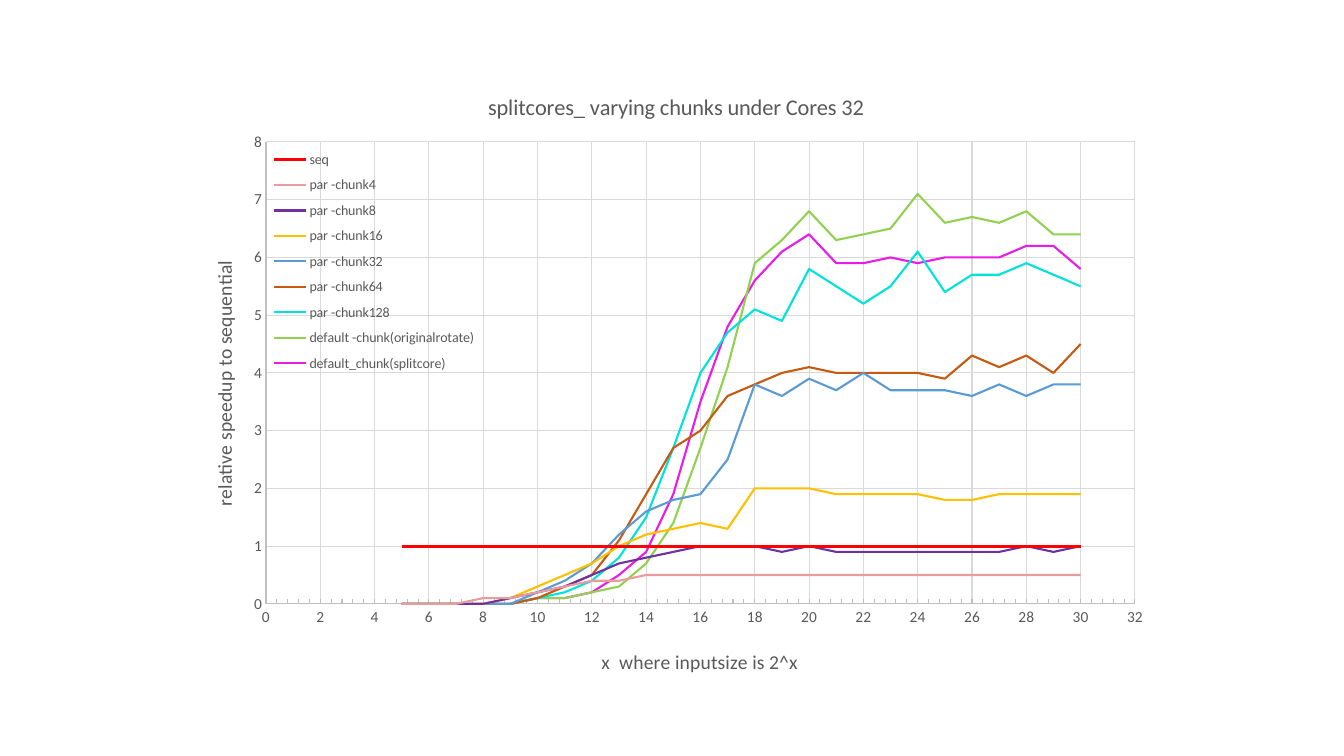
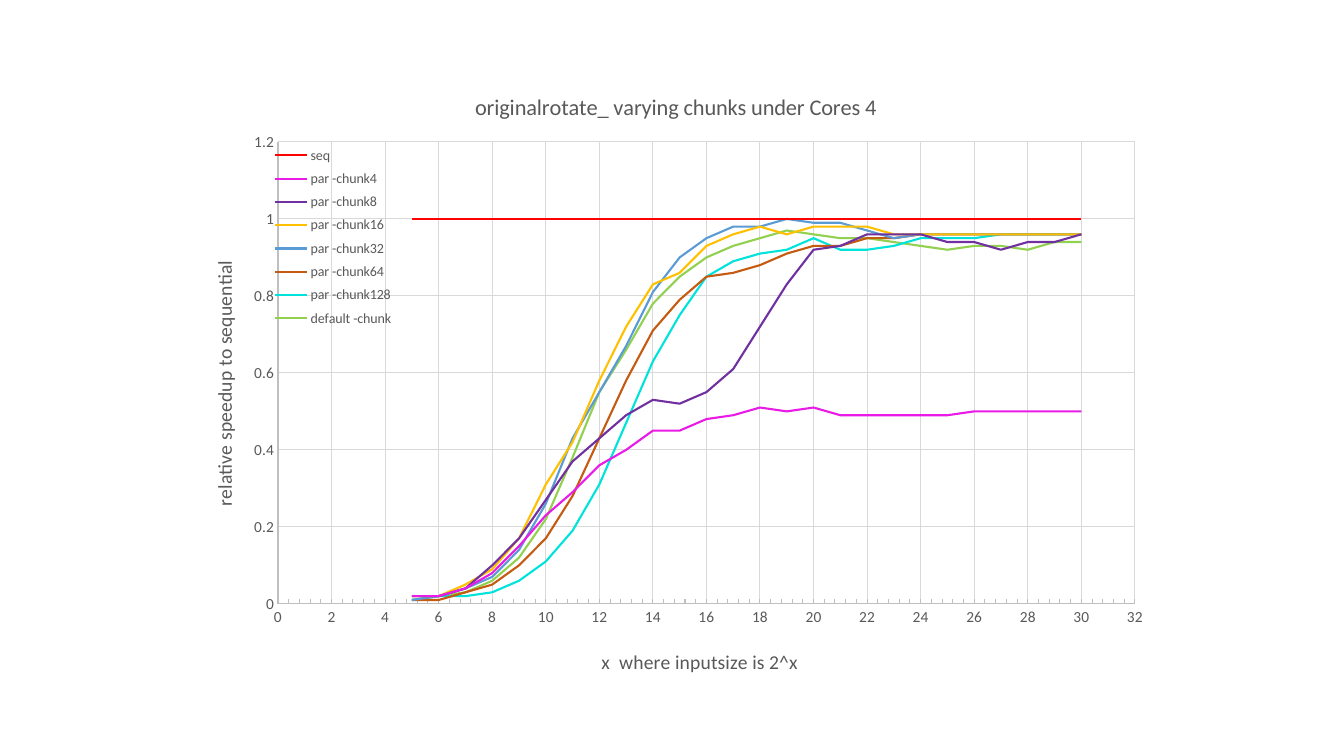
import pptx
import pptx.chart.data
import pptx.dml.color
import pptx.enum.chart
import pptx.oxml.ns
import pptx.util
from lxml import etree


class Theme:
    """Colours, type sizes and line widths shared by the slides."""
    face = "Calibri"
    ink = "595959"
    edge = "BFBFBF"
    grid = "D9D9D9"
    red, rose, pink = "FF0000", "EA9C9D", "E81CE6"
    plum, gold, blue = "7030A0", "FFC000", "5B9BD5"
    rust, aqua, lime = "C55A11", "00E3DA", "92D050"
    head, label, tick, key = 16, 14, 11, 10
    thin, line, bold = 0.75, 1.5, 2.25


WIDE, HIGH = 1344, 756
UNIT = 12192000 / WIDE
BOX = (180, 66, 983, 625)
STEPS = range(5, 31)
ENUM = pptx.enum.chart

SPLIT = {
    "title": ("splitcores_ varying chunks under Cores 32", 484, 88),
    "plot": (266, 142, 869, 462),
    "legend": (270, 142, 208, 239),
    "top": 8, "step": 1, "seq": Theme.bold,
    "rows": [
        ("seq", Theme.red, [1] * 26),
        ("par -chunk4", Theme.rose,
         [0, 0, 0, 0.1, 0.1, 0.2, 0.3, 0.4, 0.4, 0.5, 0.5, 0.5, 0.5,
          0.5, 0.5, 0.5, 0.5, 0.5, 0.5, 0.5, 0.5, 0.5, 0.5, 0.5, 0.5, 0.5]),
        ("par -chunk8", Theme.plum,
         [0, 0, 0, 0, 0.1, 0.2, 0.3, 0.5, 0.7, 0.8, 0.9, 1, 1,
          1, 0.9, 1, 0.9, 0.9, 0.9, 0.9, 0.9, 0.9, 0.9, 1, 0.9, 1]),
        ("par -chunk16", Theme.gold,
         [0, 0, 0, 0, 0.1, 0.3, 0.5, 0.7, 1, 1.2, 1.3, 1.4, 1.3,
          2, 2, 2, 1.9, 1.9, 1.9, 1.9, 1.8, 1.8, 1.9, 1.9, 1.9, 1.9]),
        ("par -chunk32", Theme.blue,
         [0, 0, 0, 0, 0, 0.2, 0.4, 0.7, 1.2, 1.6, 1.8, 1.9, 2.5,
          3.8, 3.6, 3.9, 3.7, 4, 3.7, 3.7, 3.7, 3.6, 3.8, 3.6, 3.8, 3.8]),
        ("par -chunk64", Theme.rust,
         [0, 0, 0, 0, 0, 0.1, 0.3, 0.5, 1.1, 1.9, 2.7, 3, 3.6,
          3.8, 4, 4.1, 4, 4, 4, 4, 3.9, 4.3, 4.1, 4.3, 4, 4.5]),
        ("par -chunk128", Theme.aqua,
         [0, 0, 0, 0, 0, 0.1, 0.2, 0.4, 0.8, 1.5, 2.7, 4, 4.7,
          5.1, 4.9, 5.8, 5.5, 5.2, 5.5, 6.1, 5.4, 5.7, 5.7, 5.9, 5.7, 5.5]),
        ("default -chunk(originalrotate)", Theme.lime,
         [0, 0, 0, 0, 0, 0.1, 0.1, 0.2, 0.3, 0.7, 1.4, 2.7, 4.1,
          5.9, 6.3, 6.8, 6.3, 6.4, 6.5, 7.1, 6.6, 6.7, 6.6, 6.8, 6.4, 6.4]),
        ("default_chunk(splitcore)", Theme.pink,
         [0, 0, 0, 0, 0, 0.1, 0.1, 0.2, 0.5, 0.9, 1.9, 3.5, 4.8,
          5.6, 6.1, 6.4, 5.9, 5.9, 6, 5.9, 6, 6, 6, 6.2, 6.2, 5.8]),
    ],
}

ROTATE = {
    "title": ("originalrotate_ varying chunks under Cores 4", 471, 88),
    "plot": (278, 142, 857, 462),
    "legend": (270, 140, 126, 194),
    "top": 1.2, "step": 0.2, "seq": Theme.line,
    "rows": [
        ("seq", Theme.red, [1] * 26),
        ("par -chunk4", Theme.pink,
         [0.02, 0.02, 0.04, 0.08, 0.15, 0.23, 0.29, 0.36, 0.4, 0.45, 0.45, 0.48, 0.49,
          0.51, 0.5, 0.51, 0.49, 0.49, 0.49, 0.49, 0.49, 0.5, 0.5, 0.5, 0.5, 0.5]),
        ("par -chunk8", Theme.plum,
         [0.02, 0.02, 0.04, 0.1, 0.17, 0.27, 0.37, 0.43, 0.49, 0.53, 0.52, 0.55, 0.61,
          0.72, 0.83, 0.92, 0.93, 0.96, 0.96, 0.96, 0.94, 0.94, 0.92, 0.94, 0.94, 0.96]),
        ("par -chunk16", Theme.gold,
         [0.02, 0.02, 0.05, 0.09, 0.17, 0.31, 0.42, 0.58, 0.72, 0.83, 0.86, 0.93, 0.96,
          0.98, 0.96, 0.98, 0.98, 0.98, 0.96, 0.96, 0.96, 0.96, 0.96, 0.96, 0.96, 0.96]),
        ("par -chunk32", Theme.blue,
         [0.01, 0.02, 0.04, 0.07, 0.14, 0.26, 0.43, 0.55, 0.67, 0.81, 0.9, 0.95, 0.98,
          0.98, 1, 0.99, 0.99, 0.97, 0.95, 0.96, 0.96, 0.96, 0.96, 0.96, 0.96, 0.96]),
        ("par -chunk64", Theme.rust,
         [0.01, 0.01, 0.03, 0.05, 0.1, 0.17, 0.28, 0.43, 0.58, 0.71, 0.79, 0.85, 0.86,
          0.88, 0.91, 0.93, 0.93, 0.95, 0.95, 0.96, 0.96, 0.96, 0.96, 0.96, 0.96, 0.96]),
        ("par -chunk128", Theme.aqua,
         [0.01, 0.02, 0.02, 0.03, 0.06, 0.11, 0.19, 0.31, 0.47, 0.63, 0.75, 0.85, 0.89,
          0.91, 0.92, 0.95, 0.92, 0.92, 0.93, 0.95, 0.95, 0.95, 0.96, 0.96, 0.96, 0.96]),
        ("default -chunk", Theme.lime,
         [0.01, 0.02, 0.03, 0.06, 0.12, 0.22, 0.38, 0.55, 0.66, 0.78, 0.85, 0.9, 0.93,
          0.95, 0.97, 0.96, 0.95, 0.95, 0.94, 0.93, 0.92, 0.93, 0.93, 0.92, 0.94, 0.94]),
    ],
}


def px(size):
    """Turn px into EMU."""
    return pptx.util.Emu(round(size * UNIT))


def put(item, form):
    """Set each attribute named in a dict of format values."""
    for name, value in form.items():
        setattr(item, name, value)


def type_as(font, size):
    """Give a font the shared face and ink at one size."""
    put(font, {"name": Theme.face, "size": pptx.util.Pt(size), "bold": False})
    font.color.rgb = pptx.dml.color.RGBColor.from_string(Theme.ink)


def stroke(line, hue, width):
    """Colour a line and set its width."""
    line.color.rgb = pptx.dml.color.RGBColor.from_string(hue)
    line.width = pptx.util.Pt(width)


def pin(node, spot, box, index, inner=False):
    """Fix a chart part at a slide spot, as shares of the chart box."""
    tag = pptx.oxml.ns.qn
    for old in node.findall(tag("c:layout")):
        node.remove(old)
    frame = etree.Element(tag("c:layout"))
    node.insert(index, frame)
    hold = etree.SubElement(frame, tag("c:manualLayout"))
    left, top, wide, high = box
    x, y, *size = spot
    parts = [("layoutTarget", "inner")] if inner else []
    parts += [("xMode", "edge"), ("yMode", "edge")]
    parts += [("x", (x - left) / wide), ("y", (y - top) / high)]
    parts += zip("wh", (n / full for n, full in zip(size, (wide, high))))
    for name, value in parts:
        etree.SubElement(hold, tag("c:" + name)).set("val", str(value))


def write(owner, text, size):
    """Write a title on a chart or an axis."""
    frame = owner.text_frame
    frame.text = text
    type_as(frame.paragraphs[0].runs[0].font, size)


def draw_axis(axis, text, form):
    """Style one axis with its grid, labels and title."""
    put(axis, {"has_major_gridlines": True, "minimum_scale": 0,
               "major_tick_mark": ENUM.XL_TICK_MARK.NONE,
               "minor_tick_mark": ENUM.XL_TICK_MARK.NONE, **form})
    stroke(axis.format.line, Theme.edge, Theme.thin)
    stroke(axis.major_gridlines.format.line, Theme.grid, Theme.thin)
    type_as(axis.tick_labels.font, Theme.tick)
    put(axis.tick_labels, {"number_format": "General", "number_format_is_linked": False})
    write(axis.axis_title, text, Theme.label)


def draw_chart(slide, box, view):
    """Place a speedup chart in the given box."""
    data = pptx.chart.data.XyChartData()
    for name, hue, values in view["rows"]:
        row = data.add_series(name)
        for x, y in zip(STEPS, values):
            row.add_data_point(x, y)
    kind = ENUM.XL_CHART_TYPE.XY_SCATTER_LINES_NO_MARKERS
    chart = slide.shapes.add_chart(kind, *map(px, box), data).chart
    type_as(chart.font, Theme.key)
    put(chart, {"has_title": True, "has_legend": True})
    title, *spot = view["title"]
    write(chart.chart_title, title, Theme.head)
    put(chart.legend, {"position": ENUM.XL_LEGEND_POSITION.RIGHT,
                       "include_in_layout": True})
    type_as(chart.legend.font, Theme.key)
    draw_axis(chart.category_axis, "x  where inputsize is 2^x",
              {"maximum_scale": 32, "major_unit": 2, "minor_unit": 0.4,
               "minor_tick_mark": ENUM.XL_TICK_MARK.INSIDE})
    draw_axis(chart.value_axis, "relative speedup to sequential",
              {"maximum_scale": view["top"], "major_unit": view["step"]})
    plot = chart.plots[0]
    plot.vary_by_categories = False
    for row, (name, hue, values) in zip(plot.series, view["rows"]):
        row.smooth = False
        stroke(row.format.line, hue, view["seq"] if name == "seq" else Theme.line)
    root = chart.element
    heads = root.xpath(".//c:title")
    for node, place in zip(heads, (spot, (598, 645), (207, 257))):
        pin(node, place, box, 1)
    put_turn = heads[2].xpath(".//a:bodyPr")[0]
    for name, value in {"rot": "-5400000", "vert": "horz"}.items():
        put_turn.set(name, value)
    pin(root.xpath(".//c:plotArea")[0], view["plot"], box, 0, inner=True)
    pin(root.xpath(".//c:legend")[0], view["legend"], box, 1)


def main():
    """Build and save the deck."""
    deck = pptx.Presentation()
    put(deck, {"slide_width": px(WIDE), "slide_height": px(HIGH)})
    for view in (SPLIT, ROTATE):
        draw_chart(deck.slides.add_slide(deck.slide_layouts[6]), BOX, view)
    deck.save("out.pptx")


if __name__ == "__main__":
    main()
